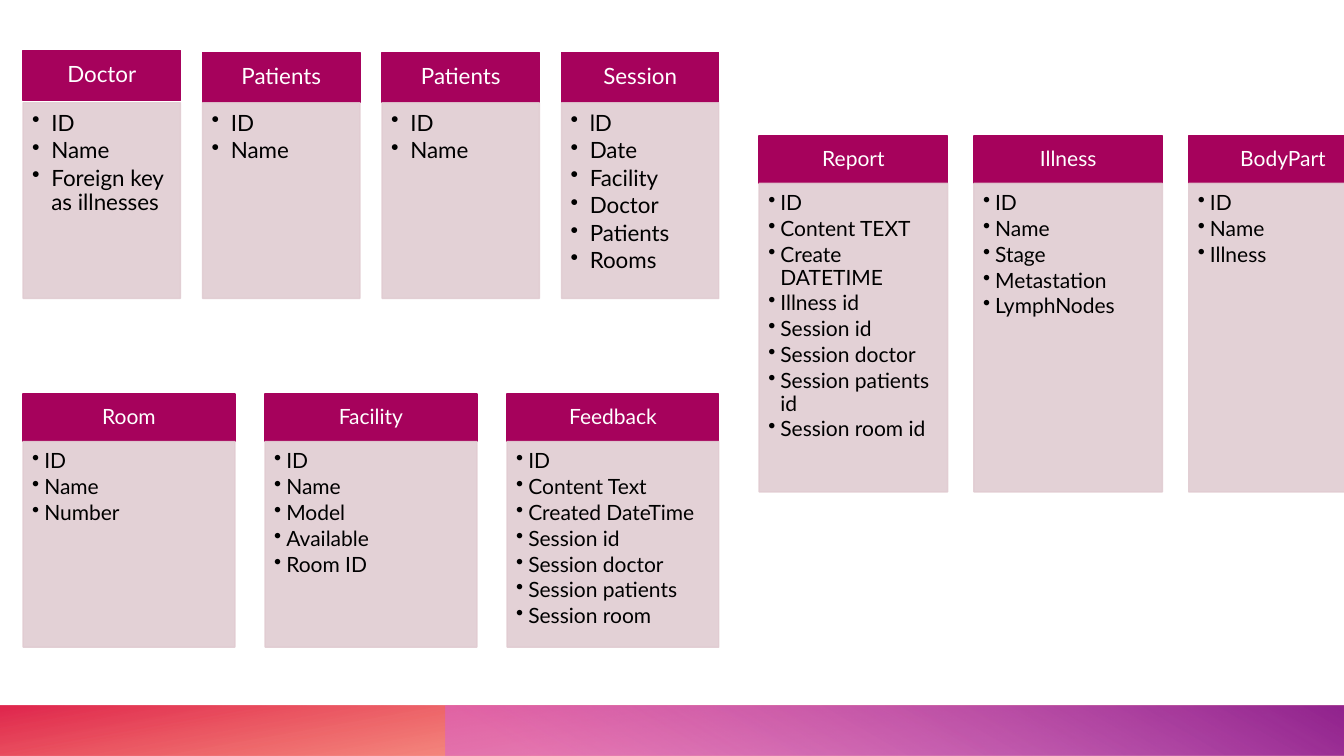
from pptx import Presentation
from pptx import util as u
from pptx.dml.color import RGBColor
from pptx.enum import shapes, text
from pptx.oxml import parse_xml
from pptx.oxml.ns import nsdecls, qn

PX = 9144  # EMU: 100 px to the inch
COLORS = {
    "head": "A6025C", "body": "E1CCD2", "white": "FFFFFF", "black": "000000",
    "orange": "FE4A00", "red": "DA002F", "pink": "D861D4", "purple": "92248E",
}


def rgb(name):
    return RGBColor.from_string(COLORS[name])


def fade(color, alpha):
    """Give an a:srgbClr element an opacity in percent."""
    color.append(parse_xml(f'<a:alpha {nsdecls("a")} val="{alpha * 1000}"/>'))


class Board:
    font = "Lato"

    def __init__(self, slide):
        self.slide = slide

    def rect(self, x, y, w, h):
        box = self.slide.shapes.add_shape(
            shapes.MSO_SHAPE.RECTANGLE, *(n * PX for n in (x, y, w, h)))
        box.shadow.inherit = False
        return box

    def band(self, x, w, stops, angle, turn=0):
        """Draw a footer strip; stops are (percent, color, opacity)."""
        box = self.rect(x, 700, w, 50)
        box.rotation = turn
        box._element.spPr.xfrm.set("flipH", "1")
        box.line.fill.background()
        box.fill.gradient()
        box.fill.gradient_angle = 360 - angle
        for stop, (place, name, _) in zip(box.fill.gradient_stops, stops):
            stop.position = place / 100
            stop.color.rgb = rgb(name)
        colors = box._element.spPr.iter(qn("a:srgbClr"))
        for color, (_, _, alpha) in zip(list(colors), stops):
            fade(color, alpha)

    def panel(self, x, y, w, h, color, lines, size, ink, gap, insets):
        """Draw a filled box holding one paragraph per line."""
        box = self.rect(x, y, w, h)
        box.fill.solid()
        box.fill.fore_color.rgb = box.line.color.rgb = rgb(color)
        box.line.width = u.Pt(1)
        frame = box.text_frame
        frame.word_wrap = True
        (frame.margin_left, frame.margin_top,
         frame.margin_right, frame.margin_bottom) = (n * PX for n in insets)
        frame.text = "\n".join(lines)
        for para in frame.paragraphs:
            para.line_spacing = 0.9
            para.space_after = u.Pt(round(gap * size, 2))
            font = para.runs[0].font
            font.name, font.size = self.font, u.Pt(size)
            font.color.rgb = rgb(ink)
        return box

    def head(self, x, y, w, h, title, size):
        box = self.panel(x, y, w, h, "head", [title], size, "white", 0.35,
                         (12, 7, 12, 7))
        box.text_frame.vertical_anchor = text.MSO_ANCHOR.MIDDLE
        box.text_frame.paragraphs[0].alignment = text.PP_ALIGN.CENTER

    def body(self, x, y, w, h, items, size, indent):
        box = self.panel(x, y, w, h, "body", items, size, "black", 0.15,
                         (9, 9, 12, 13))
        for color in list(box._element.spPr.iter(qn("a:srgbClr"))):
            fade(color, 90)
        box.text_frame.vertical_anchor = text.MSO_ANCHOR.TOP
        for para in box.text_frame.paragraphs:
            para.alignment = text.PP_ALIGN.LEFT
            para.level = 1
            props = para._p.get_or_add_pPr()
            props.set("marL", str(indent * PX))
            props.set("indent", str(-indent * PX))
            props.append(parse_xml(f'<a:buChar {nsdecls("a")} char="•"/>'))

    def row(self, x, y, step, w, top, deep, size, indent, cards):
        """Lay out entity cards side by side at an equal step."""
        for i, (title, items) in enumerate(cards):
            left = x + i * step
            lift = 2 if title == "Doctor" else 0
            self.head(left, y - lift, w, top, title, size)
            self.body(left, y + top, w, deep, items, size, indent)


PEOPLE = [
    ("Doctor", ["ID", "Name", "Foreign key as illnesses"]),
    ("Patients", ["ID", "Name"]),
    ("Patients", ["ID", "Name"]),
    ("Session", ["lD", "Date", "Facility", "Doctor", "Patients", "Rooms"]),
]
PLACES = [
    ("Room", ["ID", "Name", "Number"]),
    ("Facility", ["ID", "Name", "Model", "Available", "Room ID"]),
    ("Feedback", ["ID", "Content Text", "Created DateTime", "Session id",
                  "Session doctor", "Session patients", "Session room"]),
]
HEALTH = [
    ("Report", ["ID", "Content TEXT", "Create DATETIME", "Illness id",
                "Session id", "Session doctor", "Session patients id",
                "Session room id"]),
    ("Illness", ["ID", "Name", "Stage", "Metastation", "LymphNodes"]),
    ("BodyPart", ["ID", "Name", "Illness"]),
]


def main():
    deck = Presentation()
    deck.slide_width, deck.slide_height = u.Inches(13.33), u.Inches(7.5)
    board = Board(deck.slides.add_slide(deck.slide_layouts[6]))
    board.band(0, 1333, [(14, "orange", 28), (100, "red", 85)], 100, turn=180)
    board.band(442, 892, [(9, "pink", 55), (99, "purple", 100)], 240)
    board.row(23, 52, 178, 156, 50, 194, 16, 19, PEOPLE)
    board.row(23, 391, 240, 210, 47, 204, 15, 12, PLACES)
    board.row(753, 135, 213, 187, 47, 306, 15, 12, HEALTH)
    deck.save("out.pptx")


if __name__ == "__main__":
    main()
